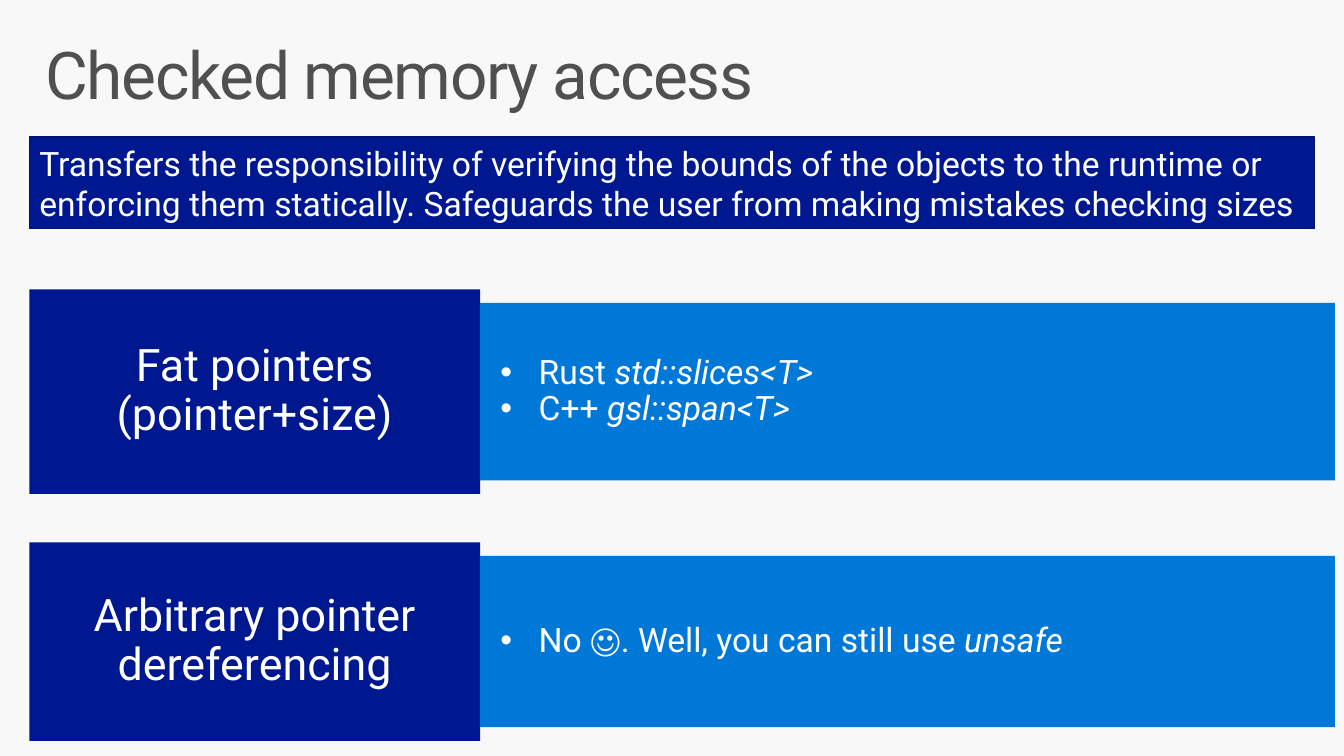
from dataclasses import dataclass

from lxml import etree
from pptx import Presentation
from pptx import util as u
from pptx.dml import color
from pptx.enum import shapes, text
from pptx.oxml import ns


@dataclass(frozen=True)
class Theme:
    font: str = "Roboto"
    background: str = "F8F8F8"
    title: str = "505050"
    light: str = "FFFFFF"
    navy: str = "00188F"
    navy_edge: str = "00126A"
    blue: str = "0078D7"
    title_size: int = 47
    topic_size: int = 32
    body_size: int = 24


@dataclass(frozen=True)
class Box:
    """Place and size in grid columns and rows."""
    left: float
    top: float
    width: float
    height: float


@dataclass(frozen=True)
class Padding:
    columns: float
    rows: float


@dataclass(frozen=True)
class Line:
    plain: str
    italic: str = ""


@dataclass(frozen=True)
class Topic:
    top: float
    height: float
    heading: tuple[Line, ...]
    details: tuple[Line, ...]


THEME = Theme()

# Grid: one hundred columns by one hundred rows
SLIDE_WIDTH, SLIDE_HEIGHT = u.Inches(13.33), u.Inches(7.5)
MARGIN = 2.18
CONTENT_WIDTH = 95.65
HEADING_WIDTH = 33.55
DETAIL_WIDTH = 63.6
DETAIL_STEP = 1.8
BULLET_INDENT = 2.85
TITLE_PADDING = Padding(1.2, 1.33)
BANNER_PADDING = Padding(0.75, 0.67)
TOPIC_PADDING = Padding(1.5, 2.13)

TITLE = Line("Checked memory access")
BANNER = Line(
    "Transfers the responsibility of verifying the bounds of the objects to the runtime or "
    "enforcing them statically. Safeguards the user from making mistakes checking sizes"
)
TOPICS = (
    Topic(38.27, 27.07,
          (Line("Fat pointers"), Line("(pointer+size)")),
          (Line("Rust ", "std::slices<T>"), Line("C++ ", "gsl::span<T>"))),
    Topic(71.73, 26.27,
          (Line("Arbitrary pointer dereferencing"),),
          (Line("No ☺. Well, you can still use ", "unsafe"),)),
)


def columns(count: float) -> u.Emu:
    return u.Emu(round(SLIDE_WIDTH * count / 100))


def rows(count: float) -> u.Emu:
    return u.Emu(round(SLIDE_HEIGHT * count / 100))


def place(box: Box) -> tuple[u.Emu, u.Emu, u.Emu, u.Emu]:
    return columns(box.left), rows(box.top), columns(box.width), rows(box.height)


def rgb(value: str) -> color.RGBColor:
    return color.RGBColor.from_string(value)


def add_bullet(paragraph) -> None:
    properties = paragraph._p.get_or_add_pPr()
    properties.set("marL", str(columns(BULLET_INDENT)))
    properties.set("indent", str(-columns(BULLET_INDENT)))
    etree.SubElement(properties, ns.qn("a:buFont")).set("typeface", "Arial")
    etree.SubElement(properties, ns.qn("a:buChar")).set("char", "•")


def write(shape, lines: tuple[Line, ...], size: int, padding: Padding, *,
          ink: str = THEME.light, anchor=text.MSO_ANCHOR.MIDDLE,
          align=text.PP_ALIGN.LEFT, spacing: float = 0.9, bullets: bool = False) -> None:
    frame = shape.text_frame
    frame.word_wrap = True
    frame.vertical_anchor = anchor
    frame.margin_left = frame.margin_right = columns(padding.columns)
    frame.margin_top = frame.margin_bottom = rows(padding.rows)
    frame.text = "\n".join(line.plain for line in lines)
    for paragraph, line in zip(frame.paragraphs, lines):
        paragraph.alignment = align
        paragraph.line_spacing = spacing
        if bullets:
            add_bullet(paragraph)
        if line.italic:
            emphasis = paragraph.add_run()
            emphasis.text = line.italic
            emphasis.font.italic = True
        for run in paragraph.runs:
            run.font.name = THEME.font
            run.font.size = u.Pt(size)
            run.font.color.rgb = rgb(ink)


def add_panel(slide, box: Box, fill: str):
    shape = slide.shapes.add_shape(shapes.MSO_SHAPE.RECTANGLE, *place(box))
    shape.shadow.inherit = False
    shape.fill.solid()
    shape.fill.fore_color.rgb = rgb(fill)
    shape.line.fill.background()
    return shape


def add_title(slide) -> None:
    title = slide.shapes.add_textbox(*place(Box(MARGIN, 4.27, CONTENT_WIDTH, 13.07)))
    write(title, (TITLE,), THEME.title_size, TITLE_PADDING,
          ink=THEME.title, anchor=text.MSO_ANCHOR.TOP)
    # Letter spacing, in hundredths of a point
    title.text_frame.paragraphs[0].runs[0]._r.get_or_add_rPr().set("spc", "-100")


def add_banner(slide) -> None:
    banner = add_panel(slide, Box(MARGIN, 18.13, CONTENT_WIDTH, 12.13), THEME.navy)
    banner.line.color.rgb = rgb(THEME.navy_edge)
    banner.line.width = u.Pt(0.85)
    write(banner, (BANNER,), THEME.body_size, BANNER_PADDING, spacing=1.0)


def add_topic(slide, topic: Topic) -> None:
    heading = add_panel(slide, Box(MARGIN, topic.top, HEADING_WIDTH, topic.height), THEME.navy)
    write(heading, topic.heading, THEME.topic_size, TOPIC_PADDING, align=text.PP_ALIGN.CENTER)
    detail_box = Box(MARGIN + HEADING_WIDTH, topic.top + DETAIL_STEP,
                     DETAIL_WIDTH, topic.height - 2 * DETAIL_STEP)
    details = add_panel(slide, detail_box, THEME.blue)
    write(details, topic.details, THEME.body_size, TOPIC_PADDING, bullets=True)


def main() -> None:
    presentation = Presentation()
    presentation.slide_width, presentation.slide_height = SLIDE_WIDTH, SLIDE_HEIGHT
    slide = presentation.slides.add_slide(presentation.slide_layouts[6])
    slide.background.fill.solid()
    slide.background.fill.fore_color.rgb = rgb(THEME.background)

    add_title(slide)
    for topic in TOPICS:
        add_topic(slide, topic)
    add_banner(slide)
    presentation.save("out.pptx")


if __name__ == "__main__":
    main()
